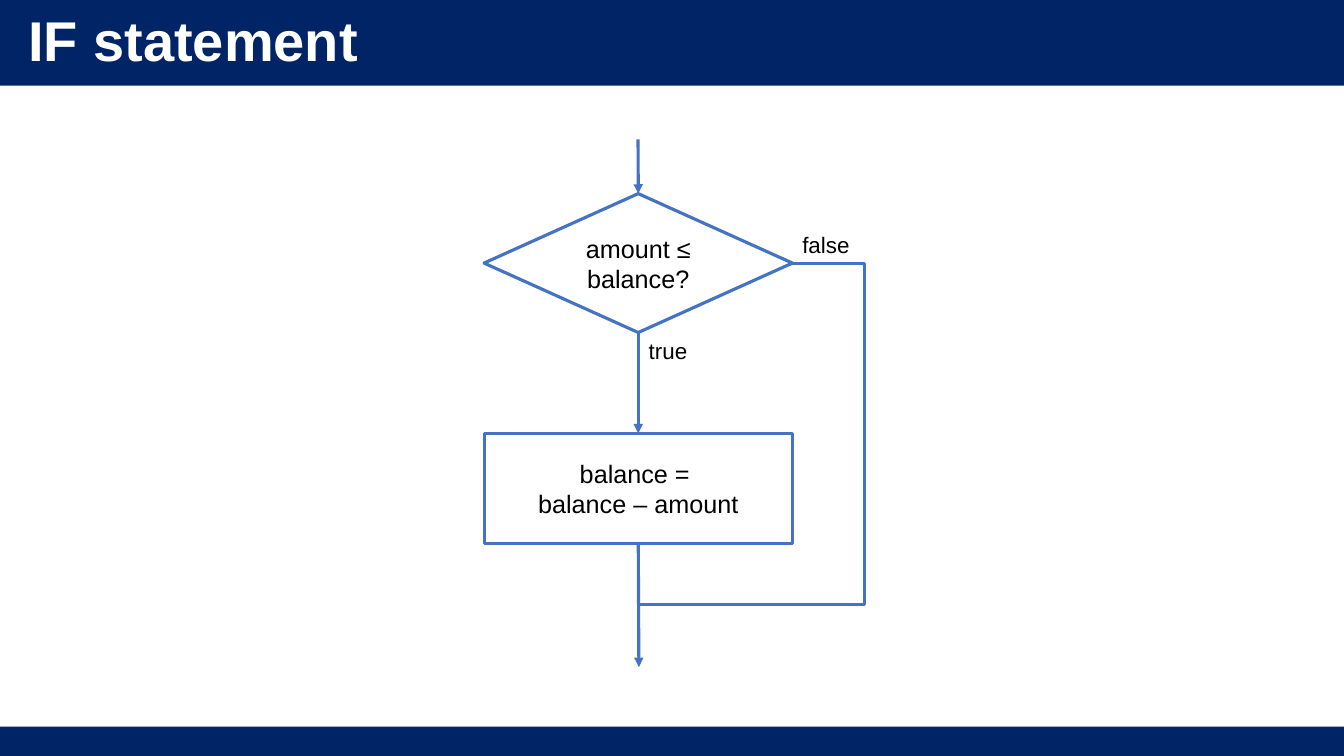
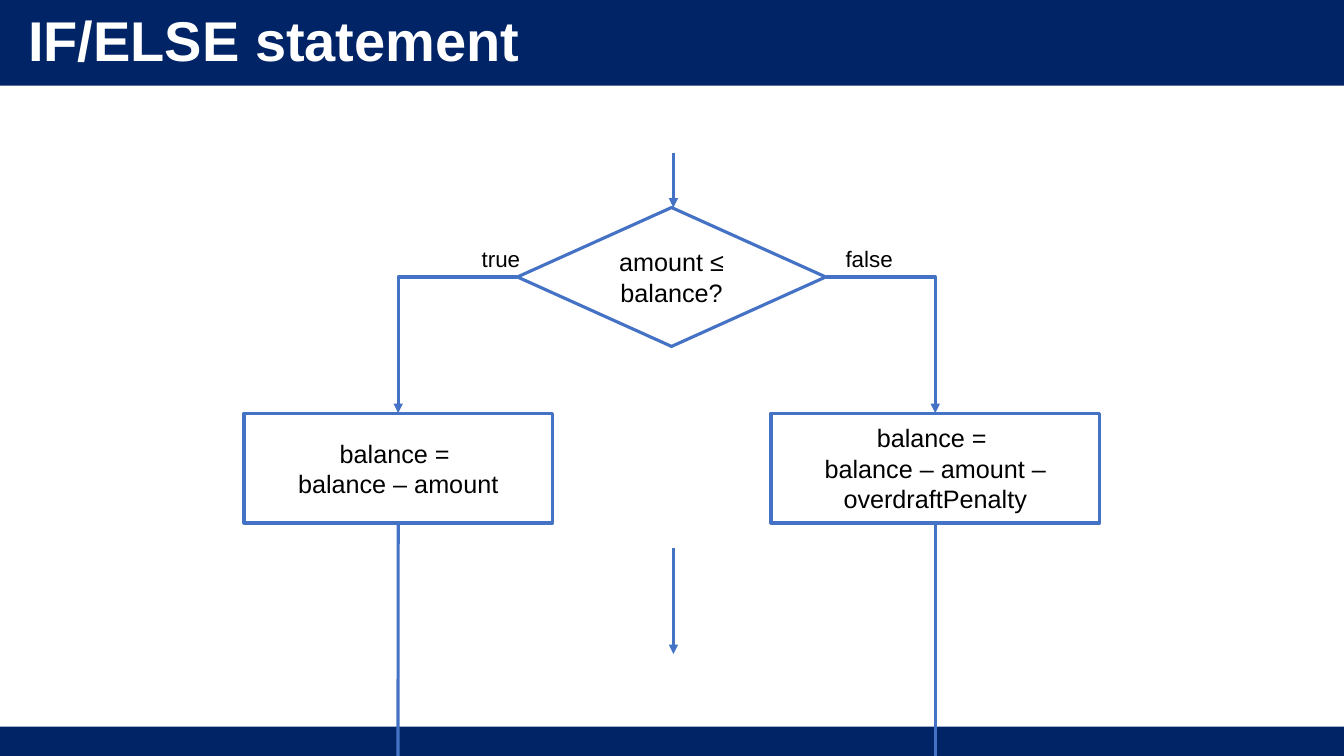
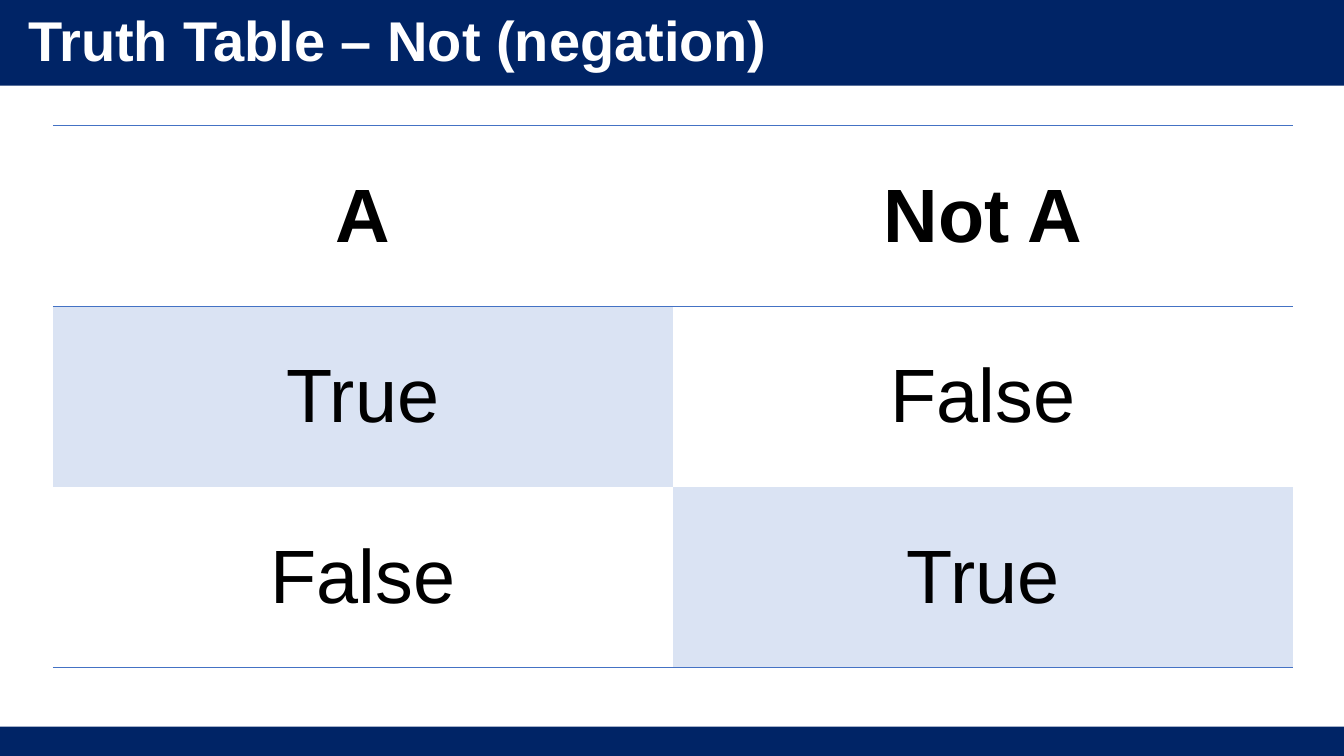
"""Build three slides on IF, IF/ELSE and negation."""
from dataclasses import dataclass
from typing import NamedTuple, Optional, Union

from lxml import etree
from pptx import Presentation, dml, util as u
from pptx.dml import color
from pptx.enum import shapes, text
from pptx.oxml import ns

COLOURS = {"navy": "002466", "blue": "4472C4", "pale": "DAE3F3",
           "white": "FFFFFF", "black": "000000"}
FONT = "Arial"
WIDTH, HEIGHT = 33.87, 19.05
STROKE = 2.25
NO_STYLE = "{2D5ABB26-0587-4C30-8999-92F81FD0307C}"
TOP, LEFT, BOTTOM, RIGHT = range(4)
DECISION = shapes.MSO_SHAPE.FLOWCHART_DECISION
RECTANGLE = shapes.MSO_SHAPE.RECTANGLE


class Point(NamedTuple):
    """A place on the slide, in cm."""
    x: float
    y: float


class Joint(NamedTuple):
    """A connection site of a step, by the step's index."""
    step: int
    site: int


@dataclass(frozen=True)
class Step:
    """A box or decision of a flowchart, in cm."""
    x: float
    y: float
    words: str
    kind: shapes.MSO_SHAPE = RECTANGLE
    w: float = 7.77
    h: float = 2.77


@dataclass(frozen=True)
class Link:
    """A straight or bent line between two ends."""
    start: Union[Point, Joint]
    end: Union[Point, Joint]
    arrow: bool = True
    bend: Optional[str] = None
    adjust: tuple[int, ...] = ()


@dataclass(frozen=True)
class Label:
    """A word beside a branch."""
    x: float
    y: float
    words: str
    w: float


@dataclass(frozen=True)
class Flow:
    """A titled flowchart."""
    title: str
    steps: list[Step]
    links: list[Link]
    labels: list[Label]


def rgb(name: str) -> color.RGBColor:
    """Look up a colour."""
    return color.RGBColor.from_string(COLOURS[name])


def cm(*lengths: float) -> list[u.Cm]:
    """Convert lengths in cm."""
    return [u.Cm(length) for length in lengths]


def write(frame, words: str, size: float, ink: str = "black", bold: bool = False,
          align=text.PP_ALIGN.CENTER) -> None:
    """Fill a text frame with evenly formatted paragraphs."""
    frame.text = words
    for paragraph in frame.paragraphs:
        paragraph.alignment = align
        font = paragraph.font
        font.name, font.size, font.bold = FONT, u.Pt(size), bold
        font.color.rgb = rgb(ink)


def add_block(slide, kind, box: tuple[float, ...], fill: str, line: Optional[str] = None):
    """Draw a flat preset shape."""
    block = slide.shapes.add_shape(kind, *cm(*box))
    block.shadow.inherit = False
    block.fill.solid()
    block.fill.fore_color.rgb = rgb(fill)
    if line:
        block.line.color.rgb = rgb(line)
        block.line.width = u.Pt(STROKE)
    else:
        block.line.fill.background()
    return block


def add_bands(slide, layout) -> None:
    """Place the top and bottom bands on the shared layout."""
    for top, height in ((0, 2.16), (18.31, 0.74)):
        band = add_block(slide, RECTANGLE, (0, top, WIDTH, height), "navy")
        layout.shapes.element.insert(2, band.element)


def add_titled_slide(deck, layout, words: str, width: float = 19.86):
    """Add a slide with its title in the top band."""
    slide = deck.slides.add_slide(layout)
    title = slide.shapes.title
    title.left, title.top, title.width, title.height = cm(0.46, 0.36, width, 1.45)
    frame = title.text_frame
    write(frame, words, 40, "white", True, text.PP_ALIGN.LEFT)
    frame.auto_size = text.MSO_AUTO_SIZE.NONE
    frame.vertical_anchor = text.MSO_ANCHOR.MIDDLE
    frame.paragraphs[0].line_spacing = 0.9
    frame.paragraphs[0].space_before = u.Pt(10)
    return slide


def add_step(slide, step: Step):
    """Draw one step of a flowchart."""
    block = add_block(slide, step.kind, (step.x, step.y, step.w, step.h), "white", "blue")
    block.text_frame.word_wrap = True
    block.text_frame.vertical_anchor = text.MSO_ANCHOR.MIDDLE
    write(block.text_frame, step.words, 18)
    return block


def add_link(slide, link: Link, blocks: list) -> None:
    """Draw a connector and glue it to its steps."""
    kind = shapes.MSO_CONNECTOR.ELBOW if link.bend else shapes.MSO_CONNECTOR.STRAIGHT
    ends = [cm(*end) if isinstance(end, Point) else cm(0, 0)
            for end in (link.start, link.end)]
    connector = slide.shapes.add_connector(kind, *ends[0], *ends[1])
    for end, glue in ((link.start, connector.begin_connect),
                      (link.end, connector.end_connect)):
        if isinstance(end, Joint):
            glue(blocks[end.step], end.site)
    connector.line.color.rgb = rgb("blue")
    connector.line.width = u.Pt(STROKE)
    properties = connector.element.spPr
    if link.arrow:
        etree.SubElement(properties.find(ns.qn("a:ln")), ns.qn("a:tailEnd"), type="triangle")
    etree.SubElement(properties, ns.qn("a:effectLst"))
    if link.bend:
        geometry = properties.find(ns.qn("a:prstGeom"))
        geometry.set("prst", link.bend)
        guides = geometry.find(ns.qn("a:avLst"))
        for number, value in enumerate(link.adjust, 1):
            etree.SubElement(guides, ns.qn("a:gd"), name=f"adj{number}", fmla=f"val {value}")


def add_label(slide, label: Label) -> None:
    """Write a branch label."""
    box = slide.shapes.add_textbox(*cm(label.x, label.y, label.w, 0.94))
    box.text_frame.word_wrap = False
    box.text_frame.auto_size = text.MSO_AUTO_SIZE.SHAPE_TO_FIT_TEXT
    write(box.text_frame, label.words, 16, align=text.PP_ALIGN.LEFT)


def add_flow(deck, layout, flow: Flow):
    """Build a flowchart slide."""
    slide = add_titled_slide(deck, layout, flow.title)
    blocks = [add_step(slide, step) for step in flow.steps]
    for link in flow.links:
        add_link(slide, link, blocks)
    for label in flow.labels:
        add_label(slide, label)
    return slide


def add_rule(cell, side: str) -> None:
    """Draw a border on one side of a cell."""
    rule = etree.SubElement(cell._tc.get_or_add_tcPr(), ns.qn(f"a:{side}"), w=str(u.Pt(1)))
    fill = etree.SubElement(rule, ns.qn("a:solidFill"))
    etree.SubElement(fill, ns.qn("a:srgbClr"), val=COLOURS["blue"])


def add_truth_table(slide, rows: list[tuple[str, ...]]) -> None:
    """Draw a truth table with its true cells shaded."""
    frame = slide.shapes.add_table(len(rows), len(rows[0]), *cm(1.33, 3.17, 31.26, 13.65))
    table = frame.table
    table.horz_banding = False
    table._tbl.tblPr.find(ns.qn("a:tableStyleId")).text = NO_STYLE
    for r, values in enumerate(rows):
        for c, value in enumerate(values):
            cell = table.cell(r, c)
            write(cell.text_frame, value, 54, bold=r == 0)
            cell.vertical_anchor = text.MSO_ANCHOR.MIDDLE
            if r == 0:
                add_rule(cell, "lnT")
            if r in (0, len(rows) - 1):
                add_rule(cell, "lnB")
            if value == "True":
                cell.fill.solid()
                cell.fill.fore_color.rgb = rgb("pale")
            else:
                cell.fill.background()


CONDITION = "amount ≤ balance?"
WITHDRAW = "balance = \nbalance – amount"
IF_FLOW = Flow(
    "IF statement",
    [Step(12.2, 4.88, CONDITION, DECISION, h=3.5), Step(12.2, 10.92, WITHDRAW)],
    [Link(Joint(0, BOTTOM), Joint(1, TOP)),
     Link(Point(16.08, 3.51), Joint(0, TOP)),
     Link(Joint(1, BOTTOM), Point(16.1, 16.81)),
     Link(Joint(0, RIGHT), Point(16.1, 15.24), False, "bentConnector4", (-46900, 100000))],
    [Label(16.1, 8.38, "true", 1.5), Label(19.97, 5.69, "false", 1.73)])
IF_ELSE_FLOW = Flow(
    "IF/ELSE statement",
    [Step(13.04, 5.23, CONDITION, DECISION, h=3.5),
     Step(6.15, 10.41, WITHDRAW),
     Step(19.43, 10.41, WITHDRAW + " – overdraftPenalty", w=8.28)],
    [Link(Point(16.97, 3.86), Point(16.97, 5.23)),
     Link(Joint(0, LEFT), Joint(1, TOP), bend="bentConnector2"),
     Link(Joint(0, RIGHT), Joint(2, TOP), bend="bentConnector2"),
     Link(Joint(1, BOTTOM), Point(10.03, HEIGHT), False),
     Link(Joint(2, BOTTOM), Point(23.57, HEIGHT), False),
     Link(Point(16.97, 13.82), Point(16.97, 16.48))],
    [Label(11.89, 6.05, "true", 1.5), Label(21.06, 6.05, "false", 1.73)])
NEGATION = [("A", "Not A"), ("True", "False"), ("False", "True")]


def main() -> None:
    """Build and save the deck."""
    deck = Presentation()
    deck.slide_width, deck.slide_height = cm(WIDTH, HEIGHT)
    layout = deck.slide_layouts.get_by_name("Title Only")
    first = add_flow(deck, layout, IF_FLOW)
    add_bands(first, layout)
    add_flow(deck, layout, IF_ELSE_FLOW)
    negation = add_titled_slide(deck, layout, "Truth Table – Not (negation)", 23.57)
    add_truth_table(negation, NEGATION)
    deck.save("out.pptx")


main()
